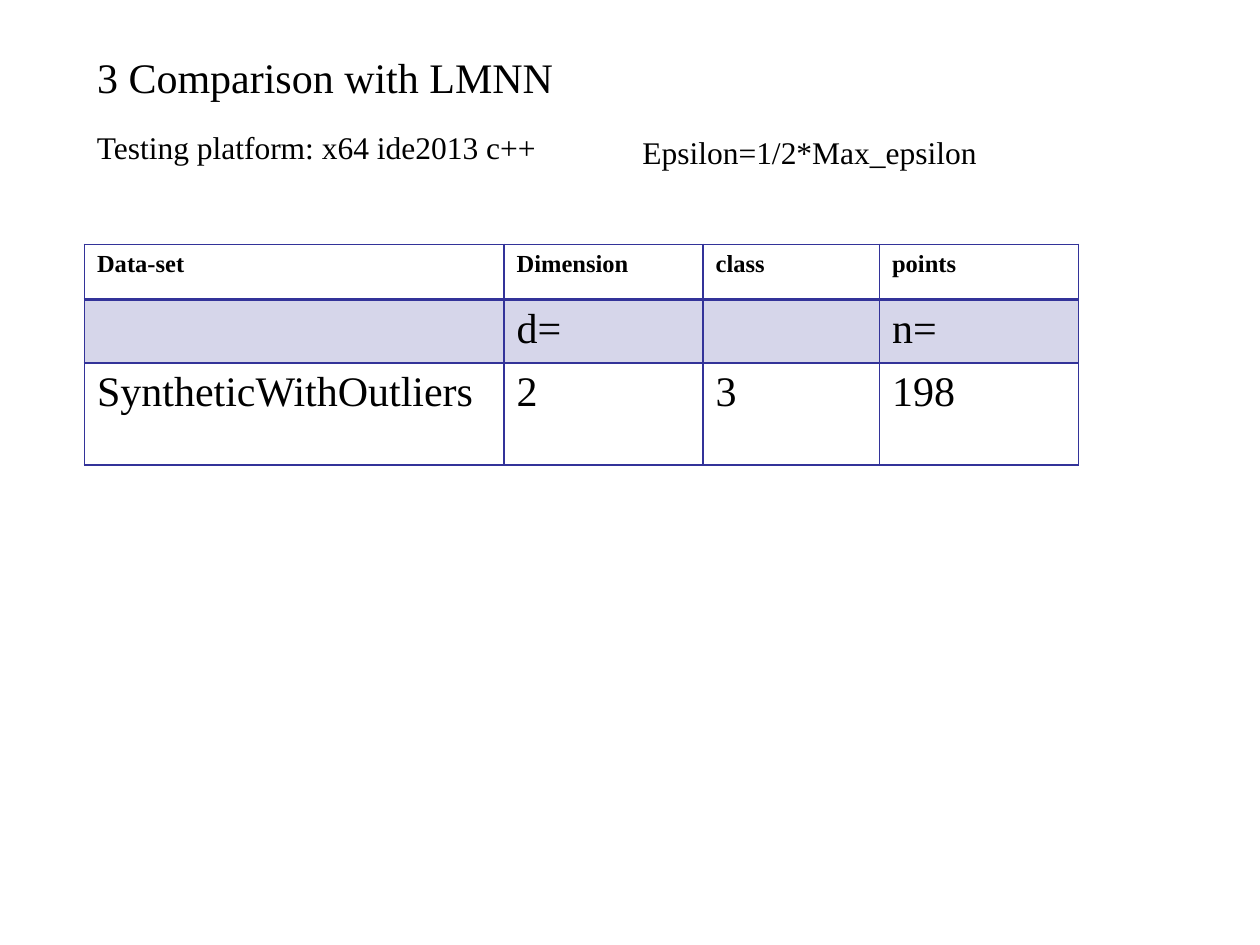
from lxml.etree import SubElement
from pptx import Presentation
from pptx.dml.color import RGBColor
from pptx.enum.text import MSO_ANCHOR, MSO_AUTO_SIZE, PP_ALIGN
from pptx.oxml.ns import qn
from pptx.util import Inches, Pt

BLACK = RGBColor(0x00, 0x00, 0x00)
INDIGO = RGBColor(0x33, 0x33, 0x99)
FONT = "Times New Roman"
LEFT = 0.67

COLUMN_WIDTHS = [3.33, 1.58, 1.4, 1.58]
ROW_HEIGHTS = [0.44, 0.33, 0.81]
DATASETS = [
    ["Data-set", "Dimension", "class", "points"],
    ["", "d=", "", "n="],
    ["SyntheticWithOutliers", "2", "3", "198"],
]


def style(paragraph, size, bold=False):
    paragraph.alignment = PP_ALIGN.LEFT
    font = paragraph.font
    font.name, font.size, font.bold = FONT, Pt(size), bold
    font.color.rgb = BLACK


def write(frame, text, size):
    frame.word_wrap = True
    frame.vertical_anchor = MSO_ANCHOR.TOP
    frame.auto_size = MSO_AUTO_SIZE.SHAPE_TO_FIT_TEXT
    frame.text = text
    style(frame.paragraphs[0], size)


def place_title(slide, left, top, width, height):
    title = slide.shapes.title
    title.left, title.top = Inches(left), Inches(top)
    title.width, title.height = Inches(width), Inches(height)
    write(title.text_frame, "3 Comparison with LMNN", 24)


def place_note(slide, text, left, top, width=5.99, height=0.4):
    note = slide.shapes.add_textbox(*map(Inches, (left, top, width, height)))
    write(note.text_frame, text, 18)


def draw_borders(cell, bottom_weight, top_weight):
    properties = cell._tc.get_or_add_tcPr()
    weights = {"a:lnL": 1, "a:lnR": 1, "a:lnT": top_weight, "a:lnB": bottom_weight}
    # Border lines must come before the cell's fill
    for position, (side, weight) in enumerate(weights.items()):
        line = SubElement(properties, qn(side), w=str(Pt(weight)))
        fill = SubElement(line, qn("a:solidFill"))
        SubElement(fill, qn("a:srgbClr"), val=str(INDIGO))
        properties.insert(position, line)


def fill_cell(cell, shaded):
    if not shaded:
        cell.fill.background()
        return
    cell.fill.solid()
    cell.fill.fore_color.rgb = INDIGO
    color = cell._tc.tcPr.find(f"{qn('a:solidFill')}/{qn('a:srgbClr')}")
    SubElement(color, qn("a:alpha"), val="20000")


def place_datasets(slide, left, top):
    box = (left, top, sum(COLUMN_WIDTHS), sum(ROW_HEIGHTS))
    table = slide.shapes.add_table(
        len(ROW_HEIGHTS), len(COLUMN_WIDTHS), *map(Inches, box)).table
    for column, width in zip(table.columns, COLUMN_WIDTHS):
        column.width = Inches(width)
    for r, (row, height) in enumerate(zip(table.rows, ROW_HEIGHTS)):
        row.height = Inches(height)
        header = r == 0
        for cell, text in zip(row.cells, DATASETS[r]):
            cell.text = text
            style(cell.text_frame.paragraphs[0], 14 if header else 24, header)
            fill_cell(cell, shaded=r == 1)
            draw_borders(cell, 2 if header else 1, 2 if r == 1 else 1)


def build_comparison(presentation):
    slide = presentation.slides.add_slide(presentation.slide_layouts[5])
    # Heading and test settings
    place_title(slide, LEFT, 0.36, 5.51, 0.5)
    place_note(slide, "Testing platform: x64 ide2013 c++", LEFT, 0.97)
    # Data-set table
    place_datasets(slide, LEFT, 1.94)
    place_note(slide, "Epsilon=1/2*Max_epsilon", 5, 1.01)


presentation = Presentation()
presentation.slide_width, presentation.slide_height = Inches(10), Inches(7.5)
build_comparison(presentation)
presentation.save("out.pptx")
